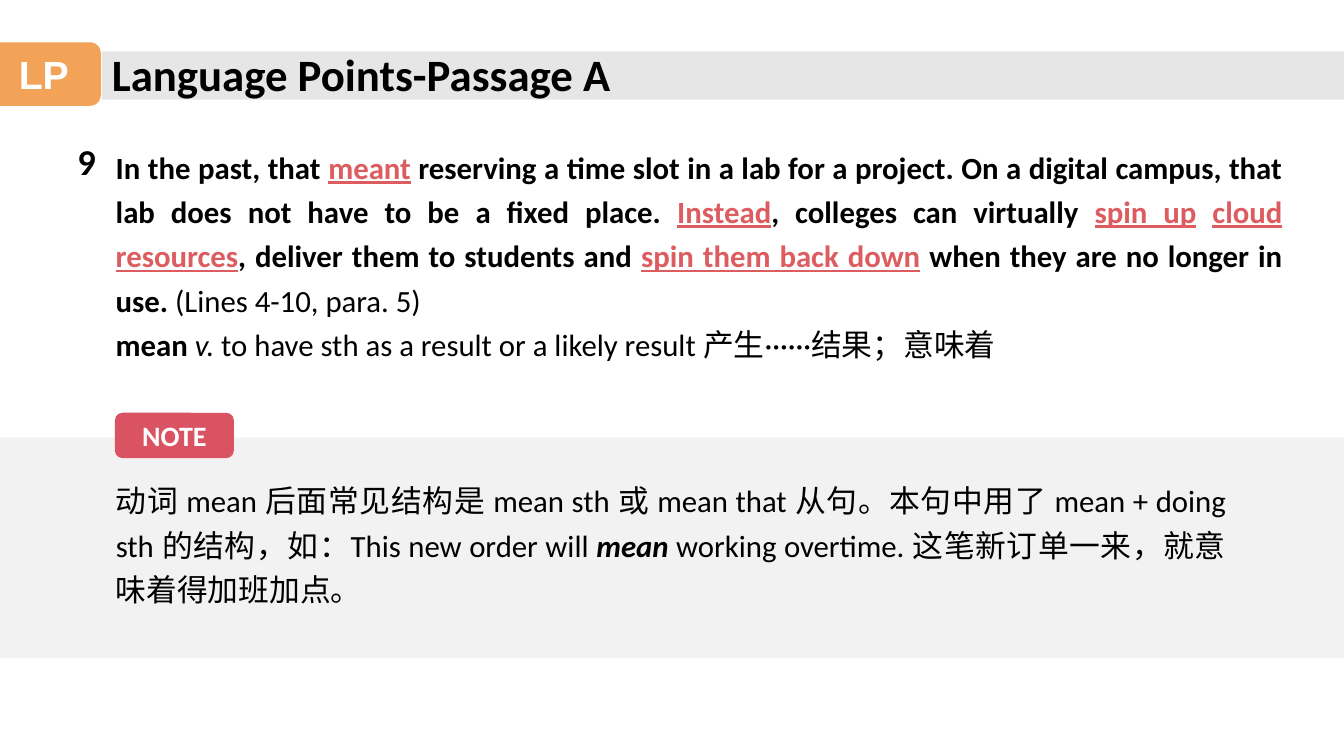
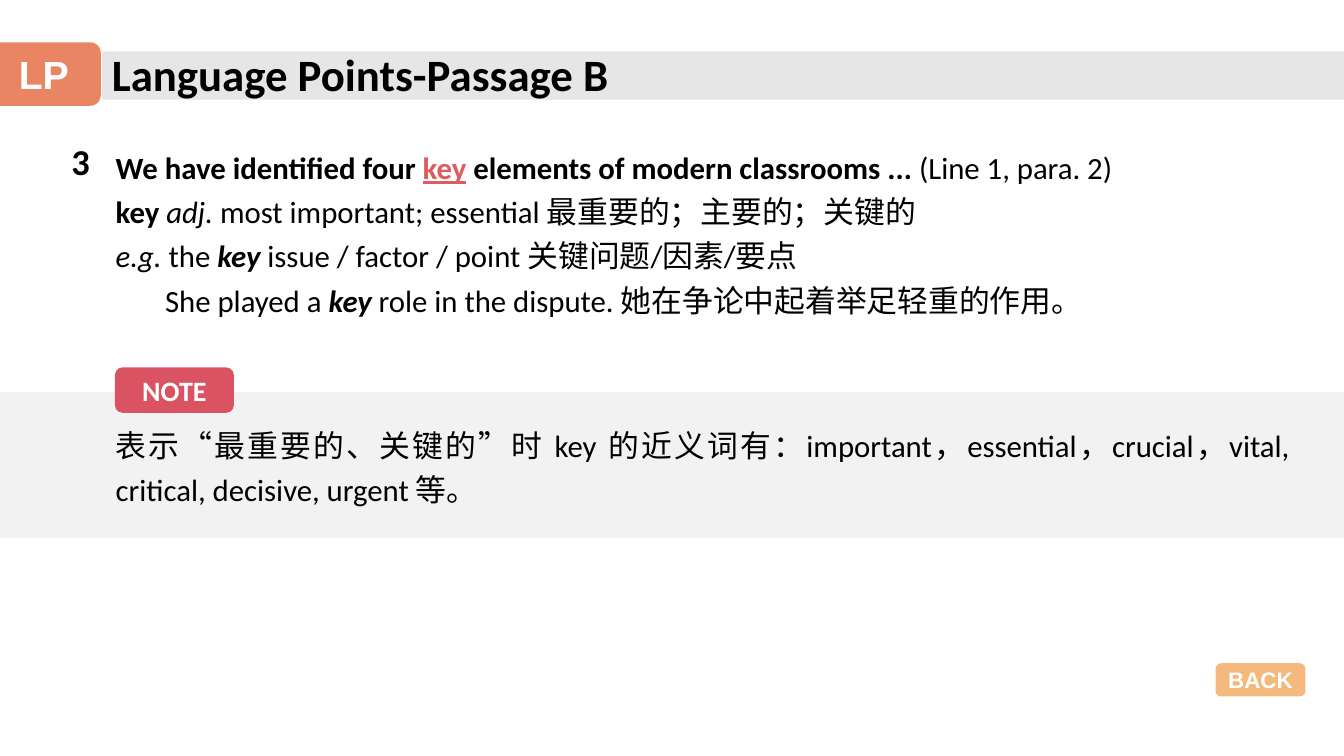
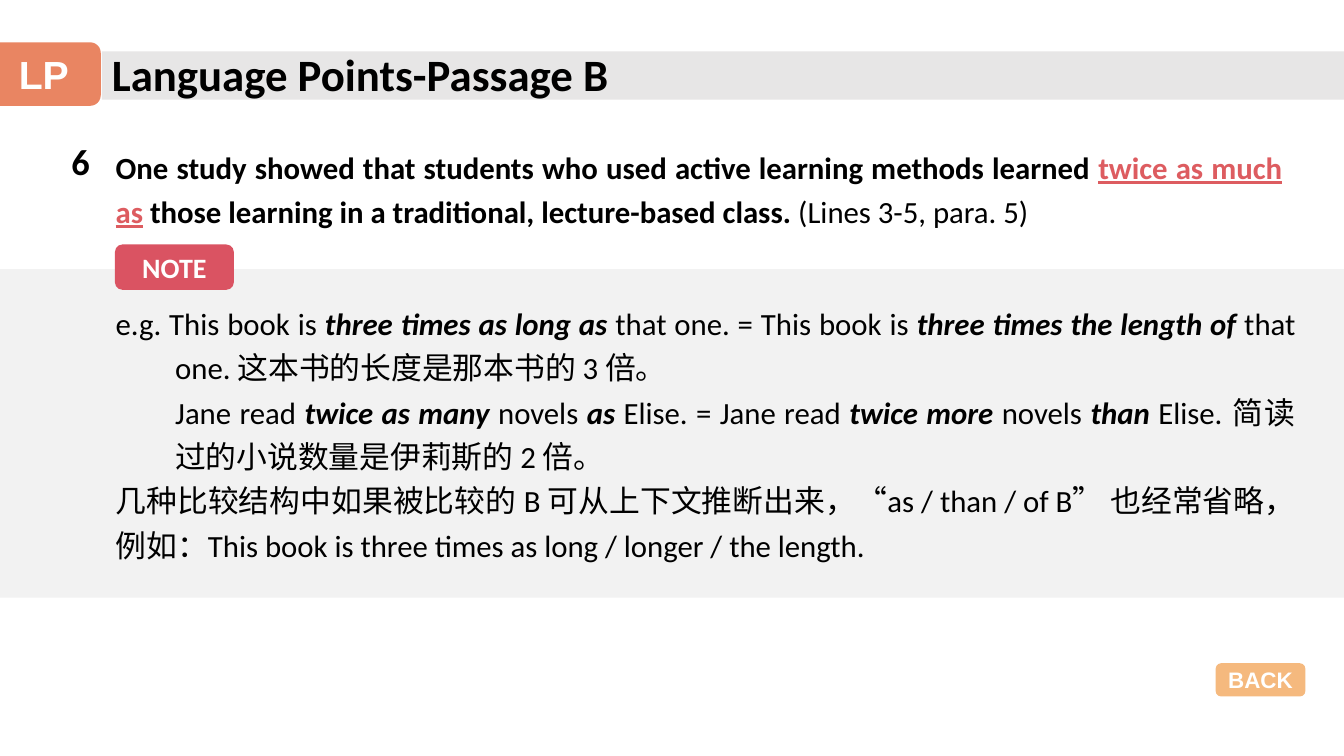
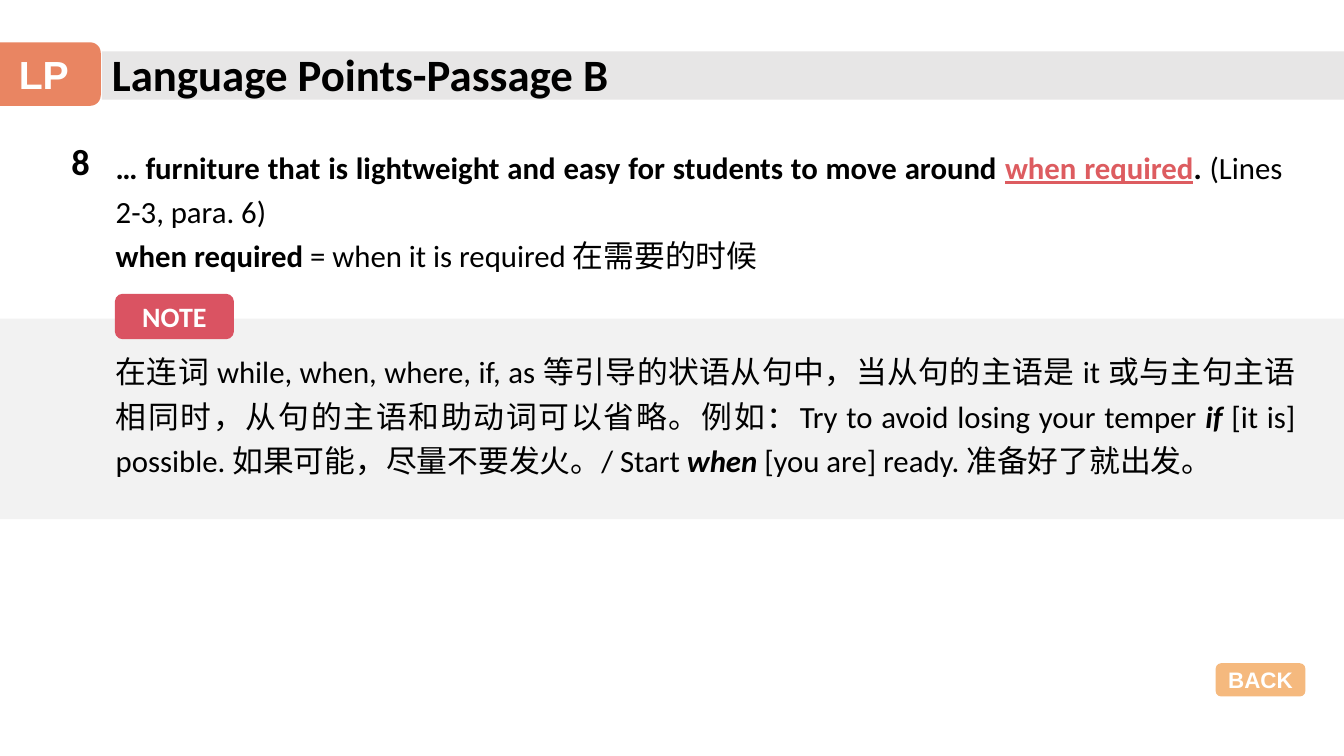
from dataclasses import dataclass

from lxml.etree import SubElement
from pptx import Presentation
from pptx.dml.color import RGBColor
from pptx.enum.shapes import MSO_SHAPE as Preset
from pptx.enum.text import MSO_ANCHOR as Anchor, MSO_AUTO_SIZE as AutoSize, PP_ALIGN as Align
from pptx.oxml.ns import qn
from pptx.util import Inches, Pt

UNIT = Inches(0.1)
COLUMNS, ROWS = 133.33, 75
TITLE_ONLY = 5


@dataclass(frozen=True)
class Theme:
    """Colours, fonts and type sizes of the deck."""
    text: str = "000000"
    white: str = "FFFFFF"
    keyword: str = "DD5C60"
    title_band: str = "E7E6E6"
    note_band: str = "F2F2F2"
    note_tag: str = "DA5362"
    back: str = "F5B97E"
    passage_a: str = "F2A357"
    passage_b: str = "E98562"
    body_font: str = "Calibri"
    label_font: str = "Arial"
    chinese_font: str = "Noto Sans CJK SC"
    title_size: int = 32
    tab_size: int = 28
    number_size: int = 26
    body_size: int = 22
    tag_size: int = 20
    back_size: int = 16
    line_spacing: float = 1.2


@dataclass(frozen=True)
class Box:
    """A rectangle in grid columns and rows."""
    left: float
    top: float
    width: float
    height: float

    def inner(self, left, top, width, height):
        """Return a box placed from this box's top left corner."""
        return Box(self.left + left, self.top + top, width, height)

    def lengths(self):
        """Return the four lengths for a shape call."""
        return [round(n * UNIT) for n in (self.left, self.top, self.width, self.height)]


THEME = Theme()
HEADER = Box(0, 4.1, COLUMNS, 6.4)
BACK_BUTTON = Box(120.6, 65.8, 8.9, 3.3)
POINT_TOP, TEXT_LEFT = 13.3, 10.5
STYLES = {
    "plain": {},
    "bold": {"bold": True},
    "italic": {"italic": True},
    "term": {"bold": True, "italic": True},
    "key": {"bold": True, "underline": True, "color": THEME.keyword},
}


def add_span(para, text, size, font=THEME.body_font, color=THEME.text,
             bold=False, italic=False, underline=False):
    """Add one formatted run with a Chinese fallback font."""
    span = para.add_run()
    span.text = text
    span.font.size = Pt(size)
    span.font.name = font
    span.font.color.rgb = RGBColor.from_string(color)
    span.font.bold, span.font.italic, span.font.underline = bold, italic, underline
    east = SubElement(span.font._element, qn("a:ea"))
    east.set("typeface", THEME.chinese_font)


def add_block(page, box, color, preset=Preset.RECTANGLE):
    """Draw a plain filled shape."""
    block = page.shapes.add_shape(preset, *box.lengths())
    block.shadow.inherit = False
    block.fill.solid()
    block.fill.fore_color.rgb = RGBColor.from_string(color)
    block.line.fill.background()
    return block


def add_label(page, box, color, text, size, font):
    """Draw a rounded shape with a centred white label."""
    frame = add_block(page, box, color, Preset.ROUNDED_RECTANGLE).text_frame
    frame.word_wrap = False
    frame.vertical_anchor = Anchor.MIDDLE
    para = frame.paragraphs[0]
    para.alignment = Align.CENTER
    add_span(para, text, size, font, THEME.white, bold=True)


def add_text(page, box, paragraphs):
    """Write justified paragraphs, each a margin, an indent and its runs."""
    frame = page.shapes.add_textbox(*box.lengths()).text_frame
    frame.word_wrap = True
    for index, (margin, indent, runs) in enumerate(paragraphs):
        para = frame.add_paragraph() if index else frame.paragraphs[0]
        para.alignment = Align.JUSTIFY
        para.line_spacing = THEME.line_spacing
        properties = para._p.get_or_add_pPr()
        properties.set("marL", str(round(margin * UNIT)))
        properties.set("indent", str(round(indent * UNIT)))
        for style, text in runs:
            add_span(para, text, THEME.body_size, **STYLES[style])


def add_header(page, box, passage, color):
    """Place the title band, the tab and the title."""
    add_block(page, box.inner(10.1, 1, box.width - 10.1, 4.8), THEME.title_band)
    add_label(page, box.inner(-1.3, 0.1, 11.3, 6.3), color, "LP", THEME.tab_size, THEME.label_font)
    title = page.shapes.title
    title.left, title.top, title.width, title.height = box.inner(10.1, 0, 53.6, box.height).lengths()
    frame = title.text_frame
    frame.auto_size = AutoSize.NONE
    frame.word_wrap = False
    frame.vertical_anchor = Anchor.MIDDLE
    para = frame.paragraphs[0]
    para.alignment = Align.LEFT
    add_span(para, f"Language Points-Passage {passage}", THEME.title_size, bold=True)
    title.element.getparent().append(title.element)


def add_point(page, box, number, paragraphs):
    """Place the number and the sentence with its explanation."""
    frame = page.shapes.add_textbox(*box.inner(0, 0, 4.7, 5.4).lengths()).text_frame
    frame.word_wrap = False
    add_span(frame.paragraphs[0], number, THEME.number_size, bold=True)
    add_text(page, Box(TEXT_LEFT, box.top + 0.2, 117.7, box.height), paragraphs)


def add_note(page, box, gap, text_width, paragraphs):
    """Place the grey note band, its text and its tag."""
    add_block(page, box, THEME.note_band)
    add_text(page, box.inner(TEXT_LEFT, gap, text_width, box.height - 2 * gap), paragraphs)
    add_label(page, box.inner(11.4, -2.45, 11.8, 4.5), THEME.note_tag, "NOTE",
              THEME.tag_size, THEME.body_font)


def add_page(deck, content):
    """Build one language point page."""
    page = deck.slides.add_slide(deck.slide_layouts[TITLE_ONLY])
    in_a = content["passage"] == "A"
    add_header(page, HEADER, content["passage"], THEME.passage_a if in_a else THEME.passage_b)
    left = 6.7 if in_a else 6.1
    add_point(page, Box(left, POINT_TOP, COLUMNS - left, content["point_height"]),
              content["number"], content["point"])
    top, height, gap, text_width = content["note_place"]
    add_note(page, Box(0, top, COLUMNS, height), gap, text_width, content["note"])
    if not in_a:
        add_label(page, BACK_BUTTON, THEME.back, "BACK", THEME.back_size, THEME.label_font)


PAGES = [
    {
        "passage": "A", "number": "9", "point_height": 23.2,
        "point": [
            (0, 0, [
                ("bold", "In the past, that "), ("key", "meant"),
                ("bold", " reserving a time slot in a lab for a project. On a digital campus, "
                         "that lab does not have to be a fixed place. "),
                ("key", "Instead"), ("bold", ", colleges can virtually "),
                ("key", "spin up"), ("bold", " "), ("key", "cloud resources"),
                ("bold", ", deliver them to students and "), ("key", "spin them back down"),
                ("bold", " when they are no longer in use. "), ("plain", "(Lines 4-10, para. 5)")]),
            (0, 0, [
                ("bold", "mean "), ("italic", "v."),
                ("plain", " to have sth as a result or a likely result 产生······结果；意味着")]),
        ],
        "note_place": (43.4, 21.9, 3.2, 112.1),
        "note": [
            (0, 0, [
                ("plain", "动词 mean 后面常见结构是 mean sth 或 mean that 从句。本句中用了 mean + "
                          "doing sth 的结构，如：This new order will "),
                ("term", "mean"),
                ("plain", " working overtime. 这笔新订单一来，就意味着得加班加点。")]),
        ],
    },
    {
        "passage": "B", "number": "3", "point_height": 18.4,
        "point": [
            (0, 0, [
                ("bold", "We have identified four "), ("key", "key"),
                ("bold", " elements of modern classrooms ... "), ("plain", "(Line 1, para. 2)")]),
            (0, 0, [
                ("bold", "key "), ("italic", "adj."),
                ("plain", " most important; essential 最重要的；主要的；关键的")]),
            (0, 0, [
                ("italic", "e.g."), ("plain", " the "), ("term", "key"),
                ("plain", " issue / factor / point 关键问题/因素/要点")]),
            (4.9, 0, [
                ("plain", "She played a "), ("term", "key"),
                ("plain", " role in the dispute. 她在争论中起着举足轻重的作用。")]),
        ],
        "note_place": (38.9, 14.5, 2.2, 118.4),
        "note": [
            (0, 0, [
                ("plain", "表示“最重要的、关键的”时 key 的近义词有：important，essential，crucial，"
                          "vital, critical, decisive, urgent 等。")]),
        ],
    },
    {
        "passage": "B", "number": "6", "point_height": 9.6,
        "point": [
            (0, 0, [
                ("bold", "One study showed that students who used active learning methods learned "),
                ("key", "twice as much as"),
                ("bold", " those learning in a traditional, lecture-based class. "),
                ("plain", "(Lines 3-5, para. 5)")]),
        ],
        "note_place": (26.7, 32.6, 2.3, 119),
        "note": [
            (5.9, -5.9, [
                ("plain", "e.g. This book is "), ("term", "three times as long as"),
                ("plain", " that one. = This book is "), ("term", "three times the length of"),
                ("plain", " that one. 这本书的长度是那本书的 3 倍。")]),
            (5.9, 0, [
                ("plain", "Jane read "), ("term", "twice as many"), ("plain", " novels "),
                ("term", "as"), ("plain", " Elise. = Jane read "), ("term", "twice more"),
                ("plain", " novels "), ("term", "than"),
                ("plain", " Elise. 简读过的小说数量是伊莉斯的 2 倍。")]),
            (0, 0, [
                ("plain", "几种比较结构中如果被比较的 B 可从上下文推断出来，“as / than / of B” 也经常省略，"
                          "例如：This book is three times as long / longer / the length.")]),
        ],
    },
    {
        "passage": "B", "number": "8", "point_height": 14,
        "point": [
            (0, 0, [
                ("bold", "… furniture that is lightweight and easy for students to move around "),
                ("key", "when required"), ("bold", ". "), ("plain", "(Lines 2-3, para. 6)")]),
            (0, 0, [
                ("bold", "when required "), ("plain", "= when it is required 在需要的时候")]),
        ],
        "note_place": (31.6, 19.9, 2.2, 119),
        "note": [
            (0, 0, [
                ("plain", "在连词 while, when, where, if, as 等引导的状语从句中，当从句的主语是 it "
                          "或与主句主语相同时，从句的主语和助动词可以省略。例如："
                          "Try to avoid losing your temper "),
                ("term", "if"), ("plain", " [it is] possible. 如果可能，尽量不要发火。/ Start "),
                ("term", "when"), ("plain", " [you are] ready. 准备好了就出发。")]),
        ],
    },
]


def main():
    """Build and save the deck."""
    deck = Presentation()
    deck.slide_width, deck.slide_height = round(COLUMNS * UNIT), ROWS * UNIT
    for content in PAGES:
        add_page(deck, content)
    deck.save("out.pptx")


if __name__ == "__main__":
    main()
